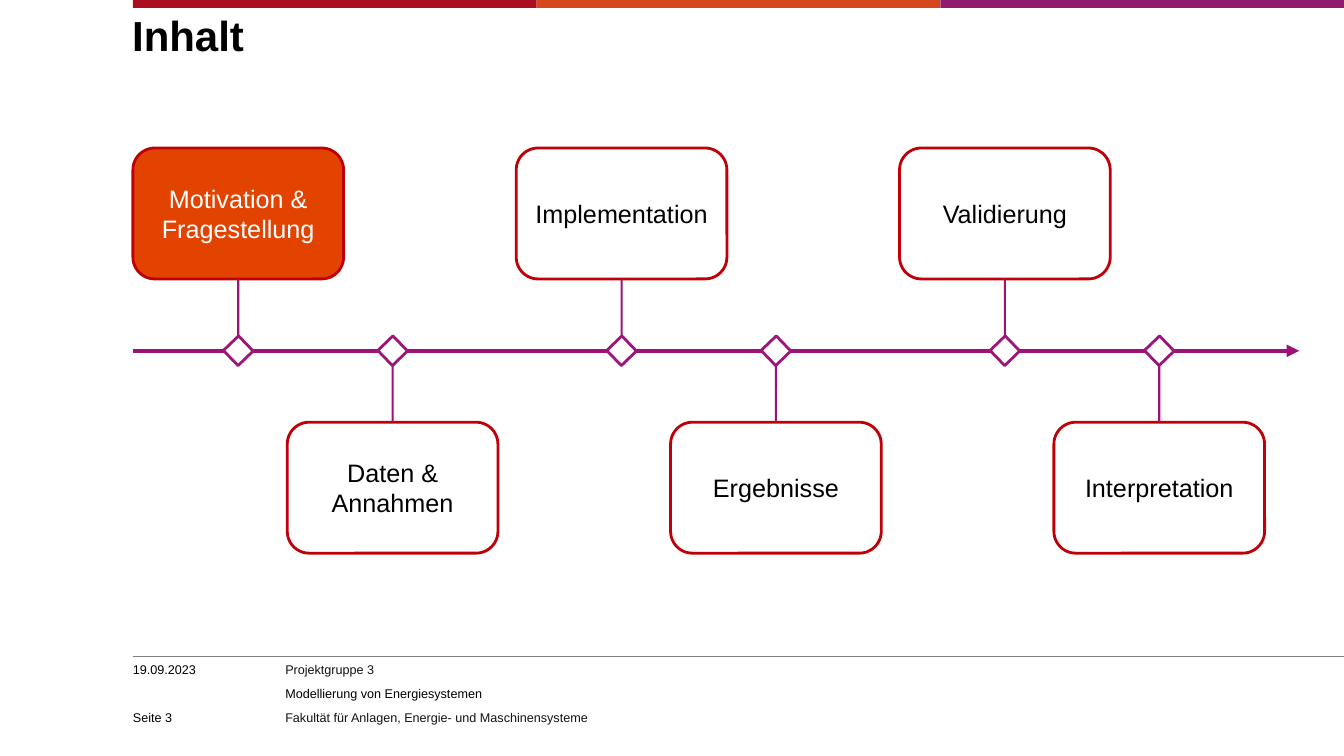
from collections import namedtuple
from dataclasses import dataclass

from lxml import etree
from pptx import Presentation
from pptx import util as u
from pptx.dml.color import RGBColor
from pptx.enum import shapes, text
from pptx.oxml import ns

Box = namedtuple("Box", "left top width height")


@dataclass(frozen=True)
class Theme:
    font: str = "Arial"
    black: str = "000000"
    white: str = "FFFFFF"
    soft_black: str = "141313"
    rule: str = "808080"
    bands: tuple = ("AA0F1F", "D7471F", "901B6E")
    active: str = "E24300"
    card_edge: str = "C00009"
    axis: str = "9D1279"
    marker_edge: str = "9D167A"
    title_size: int = 30
    card_size: int = 18
    footer_size: int = 9


THEME = Theme()
STEPS = ("Motivation & Fragestellung", "Daten & Annahmen", "Implementation",
         "Ergebnisse", "Validierung", "Interpretation")
ACTIVE_STEP = 0


# Shared drawing helpers
def colour(value):
    return RGBColor.from_string(value)


def add_span(para, words, size, ink, bold=False):
    span = para.add_run()
    span.text = words
    span.font.name = THEME.font
    span.font.size = u.Pt(size)
    span.font.bold = bold
    span.font.color.rgb = colour(ink)


def clear_margins(frame):
    frame.word_wrap = True
    frame.auto_size = text.MSO_AUTO_SIZE.NONE
    frame.margin_left = frame.margin_right = 0
    frame.margin_top = frame.margin_bottom = 0


def add_block(page, kind, box, fill, edge=None):
    block = page.shapes.add_shape(kind, *map(u.Cm, box))
    block.shadow.inherit = False
    block.fill.solid()
    block.fill.fore_color.rgb = colour(fill)
    if edge:
        block.line.color.rgb = colour(edge)
        block.line.width = u.Pt(2)
    else:
        block.line.fill.background()
    return block


def add_line(page, start, end, ink, width):
    line = page.shapes.add_connector(
        shapes.MSO_CONNECTOR.STRAIGHT, *map(u.Cm, (*start, *end)))
    line.line.color.rgb = colour(ink)
    line.line.width = u.Pt(width)
    etree.SubElement(line._element.spPr, ns.qn("a:effectLst"))
    return line


def add_note(page, box, lines, anchor=text.MSO_ANCHOR.TOP):
    """Small footer text; lines holds (words, colour) pairs."""
    frame = page.shapes.add_textbox(*map(u.Cm, box)).text_frame
    clear_margins(frame)
    frame.vertical_anchor = anchor
    for index, (words, ink) in enumerate(lines):
        para = frame.paragraphs[0] if index == 0 else frame.add_paragraph()
        para.space_after = u.Pt(6 if len(lines) > 1 else 0)
        add_span(para, words, THEME.footer_size, ink)


# Coloured band along the top edge
def draw_band(page, box):
    width = box.width / len(THEME.bands)
    for index, fill in enumerate(THEME.bands):
        part = Box(box.left + index * width, box.top, width, box.height)
        add_block(page, shapes.MSO_SHAPE.RECTANGLE, part, fill)


# Title placeholder
def draw_title(page, box, words):
    title = page.shapes.title
    title.left, title.top, title.width, title.height = map(u.Cm, box)
    frame = title.text_frame
    clear_margins(frame)
    frame.vertical_anchor = text.MSO_ANCHOR.TOP
    para = frame.paragraphs[0]
    para.alignment = text.PP_ALIGN.LEFT
    para.line_spacing = u.Pt(30)
    add_span(para, words, THEME.title_size, THEME.black, bold=True)


# Timeline: cards alternate above and below the axis
def draw_card(page, box, words, active):
    card = add_block(page, shapes.MSO_SHAPE.ROUNDED_RECTANGLE, box,
                     THEME.active if active else THEME.white, THEME.card_edge)
    frame = card.text_frame
    frame.word_wrap = True
    frame.vertical_anchor = text.MSO_ANCHOR.MIDDLE
    para = frame.paragraphs[0]
    para.alignment = text.PP_ALIGN.CENTER
    add_span(para, words, THEME.card_size,
             THEME.white if active else THEME.black)
    return card


def draw_timeline(page, box):
    card_width, card_height = 5.31, 3.3
    pair_step, lower_shift = 9.66, 3.89
    marker, stem_gap = 0.53, 0.37
    axis_y = box.top + 5.11

    axis = add_line(page, (box.left, axis_y), (box.left + box.width, axis_y),
                    THEME.axis, 3)
    etree.SubElement(axis.line._get_or_add_ln(), ns.qn("a:tailEnd"),
                     type="triangle")

    for index, words in enumerate(STEPS):
        pair, below = divmod(index, 2)
        left = box.left + pair * pair_step + below * lower_shift
        top = box.top + below * (box.height - card_height)
        center = left + card_width / 2
        card = draw_card(page, Box(left, top, card_width, card_height),
                         words, index == ACTIVE_STEP)

        diamond = add_block(
            page, shapes.MSO_SHAPE.RECTANGLE,
            Box(center - marker / 2, axis_y - marker / 2, marker, marker),
            THEME.white, THEME.marker_edge)
        diamond.rotation = 46

        stem_y = axis_y + (stem_gap if below else -stem_gap)
        card_y = top if below else top + card_height
        stem = add_line(page, (center, stem_y), (center, card_y),
                        THEME.axis, 1.5)
        stem.end_connect(card, 0 if below else 2)


# Footer with rule, date, page number and project details
def draw_footer(page, box):
    add_line(page, (box.left, box.top), (box.left + box.width, box.top),
             THEME.rule, 0.5)
    text_top = box.top + 0.15
    add_note(page, Box(box.left, text_top, 3.6, 0.5),
             [("19.09.2023", THEME.black)])
    add_note(page, Box(box.left, box.top + 1.15, 3.6, 0.58),
             [("Seite 3", THEME.black)], text.MSO_ANCHOR.BOTTOM)
    add_note(page, Box(box.left + 3.84, text_top, 16.4, 1.7), [
        ("Projektgruppe 3", THEME.soft_black),
        ("Modellierung von Energiesystemen", THEME.black),
        ("Fakultät für Anlagen, Energie- und Maschinensysteme",
         THEME.soft_black)])


def main():
    deck = Presentation()
    deck.slide_width, deck.slide_height = u.Cm(33.87), u.Cm(19.05)
    page = deck.slides.add_slide(deck.slide_layouts.get_by_name("Title Only"))
    draw_band(page, Box(3.35, 0, 30.52, 0.2))
    draw_title(page, Box(3.33, 0.46, 30, 1.98), "Inhalt")
    draw_timeline(page, Box(3.35, 3.73, 29.39, 10.21))
    draw_footer(page, Box(3.35, 16.54, 30.52, 1.85))
    deck.save("out.pptx")


if __name__ == "__main__":
    main()
